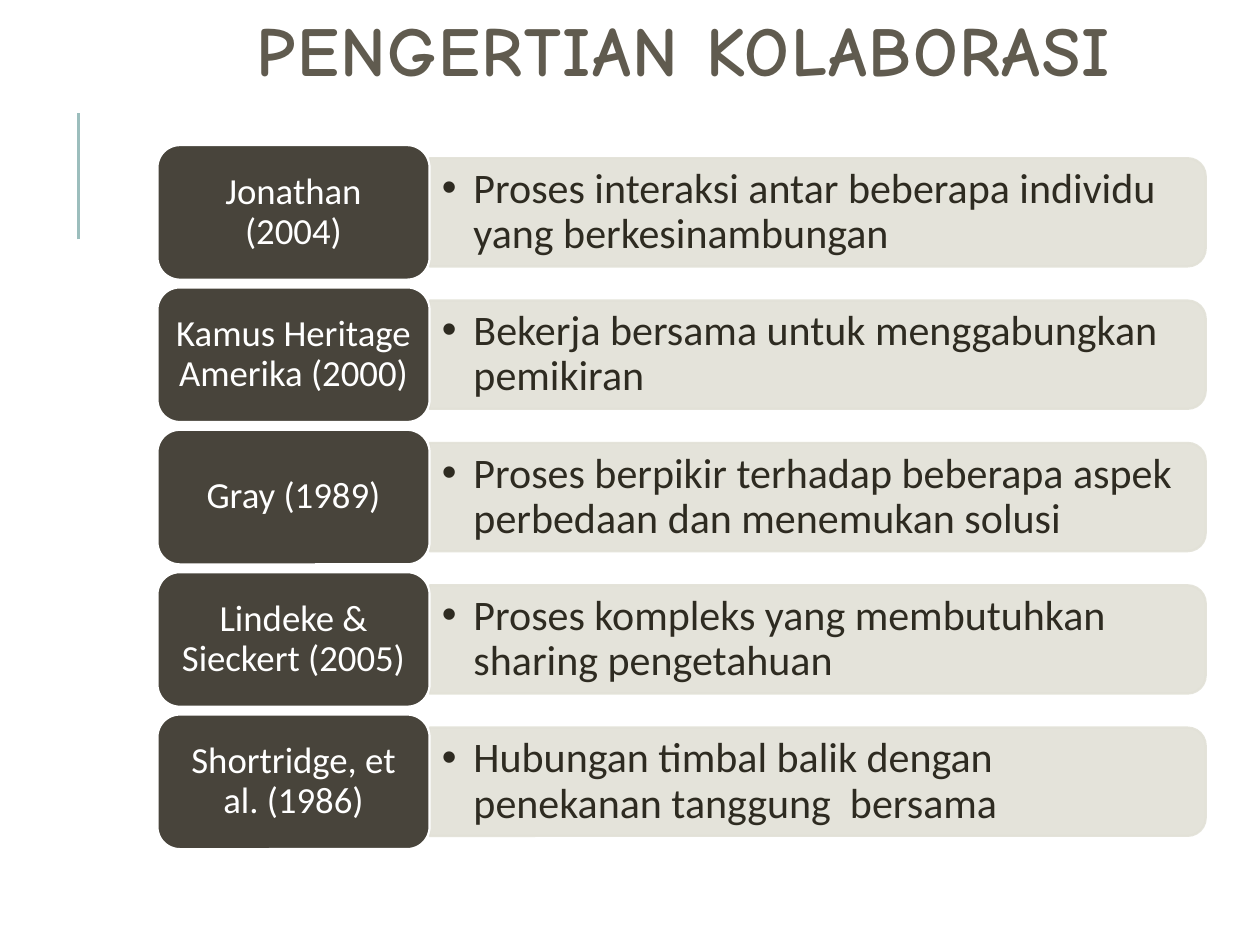
"""Build the slide that lists five definitions of collaboration."""
from dataclasses import dataclass

from lxml import etree
from pptx import Presentation
from pptx import util as u
from pptx.dml.color import RGBColor
from pptx.enum import shapes, text
from pptx.oxml.ns import qn

TITLE = "PENGERTIAN KOLABORASI"
DEFINITIONS = [
    ("Jonathan (2004)", "Proses interaksi antar beberapa individu yang berkesinambungan"),
    ("Kamus Heritage Amerika (2000)", "Bekerja bersama untuk menggabungkan pemikiran"),
    ("Gray (1989)", "Proses berpikir terhadap beberapa aspek perbedaan dan menemukan solusi"),
    ("Lindeke & Sieckert (2005)", "Proses kompleks yang membutuhkan sharing pengetahuan"),
    ("Shortridge, et al. (1986)", "Hubungan timbal balik dengan penekanan tanggung  bersama"),
]


@dataclass(frozen=True)
class Theme:
    """Colours, fonts and type sizes."""
    title: str = "605B4F"
    label: str = "48443B"
    bar: str = "E2E1D7"
    ink: str = "2E2B21"
    white: str = "FFFFFF"
    accent: str = "9CBEBD"
    title_font: str = "Comic Neue"
    body_font: str = "Calibri"
    title_size: float = 40
    label_size: float = 21
    body_size: float = 24


THEME = Theme()
LEFT, TOP, PITCH = 90, 82.9, 81.35
LABEL_W, LABEL_H = 155.5, 76.9
BAR_W, BAR_H = 443.5, 61.9
TEXT_W, TEXT_H = 440, 56
INDENT = 18


def write(box, words, font, size, color, align, spacing=0.9, insets=(7.2, 3.6)):
    frame = box.text_frame
    frame.word_wrap = True
    frame.auto_size = text.MSO_AUTO_SIZE.NONE
    frame.vertical_anchor = text.MSO_ANCHOR.MIDDLE
    frame.margin_left = frame.margin_right = u.Pt(insets[0])
    frame.margin_top = frame.margin_bottom = u.Pt(insets[1])
    para = frame.paragraphs[0]
    para.alignment, para.line_spacing = align, spacing
    span = para.add_run()
    span.text = words
    span.font.name, span.font.size = font, u.Pt(size)
    span.font.color.rgb = RGBColor.from_string(color)
    return para, span


def add_block(parent, kind, left, top, width, height, fill, line):
    block = parent.shapes.add_shape(kind, *map(u.Pt, (left, top, width, height)))
    block.shadow.inherit = False
    block.fill.solid()
    block.fill.fore_color.rgb = RGBColor.from_string(fill)
    block.line.color.rgb = RGBColor.from_string(line)
    block.line.width = u.Pt(1.25)
    return block


def add_bar(parent, left, middle):
    bar = add_block(parent, shapes.MSO_SHAPE.ROUND_2_SAME_RECTANGLE,
                    left + (BAR_W - BAR_H) / 2, middle - BAR_W / 2,
                    BAR_H, BAR_W, THEME.bar, THEME.bar)
    bar.rotation = 90
    for color in bar.element.spPr.iter(qn("a:srgbClr")):
        etree.SubElement(color, qn("a:alpha"), val="90000")


def add_bullet(para):
    para.level = 1
    props = para._p.get_or_add_pPr()
    props.set("marL", str(u.Pt(INDENT)))
    props.set("indent", str(-u.Pt(INDENT)))
    etree.SubElement(props, qn("a:buFont"), typeface="Arial")
    etree.SubElement(props, qn("a:buChar"), char="•")


def add_definition(parent, index, source, meaning):
    top = TOP + index * PITCH
    middle = top + LABEL_H / 2
    right = LEFT + LABEL_W
    add_bar(parent, right, middle)
    box = parent.shapes.add_textbox(*map(u.Pt, (right, middle - TEXT_H / 2, TEXT_W, TEXT_H)))
    para, _ = write(box, meaning, THEME.body_font, THEME.body_size, THEME.ink, text.PP_ALIGN.LEFT)
    add_bullet(para)
    label = add_block(parent, shapes.MSO_SHAPE.ROUNDED_RECTANGLE, LEFT, top,
                      LABEL_W, LABEL_H, THEME.label, THEME.white)
    write(label, source, THEME.body_font, THEME.label_size, THEME.white,
          text.PP_ALIGN.CENTER, insets=(6.3, 3.15))


def add_title(page):
    title = page.shapes.title
    title.left, title.top, title.width, title.height = map(u.Pt, (70.6, 10, 640.8, 44))
    _, span = write(title, TITLE, THEME.title_font, THEME.title_size, THEME.title,
                    text.PP_ALIGN.CENTER, spacing=0.8)
    span.font.bold = True
    span.font._element.set("spc", "100")


def add_accent(page):
    rule = page.shapes.add_connector(shapes.MSO_CONNECTOR.STRAIGHT,
                                     *map(u.Pt, (44.8, 136.8, 44.8, 64.8)))
    rule.line.color.rgb = RGBColor.from_string(THEME.accent)
    rule.line.width = u.Pt(1.5)
    etree.SubElement(rule.element.spPr, qn("a:effectLst"))


def main():
    deck = Presentation()
    deck.slide_width, deck.slide_height = u.Pt(720), u.Pt(540)
    page = deck.slides.add_slide(deck.slide_layouts[5])
    add_title(page)
    add_accent(page)
    diagram = page.shapes.add_group_shape()
    for index, (source, meaning) in enumerate(DEFINITIONS):
        add_definition(diagram, index, source, meaning)
    deck.save("out.pptx")


if __name__ == "__main__":
    main()
